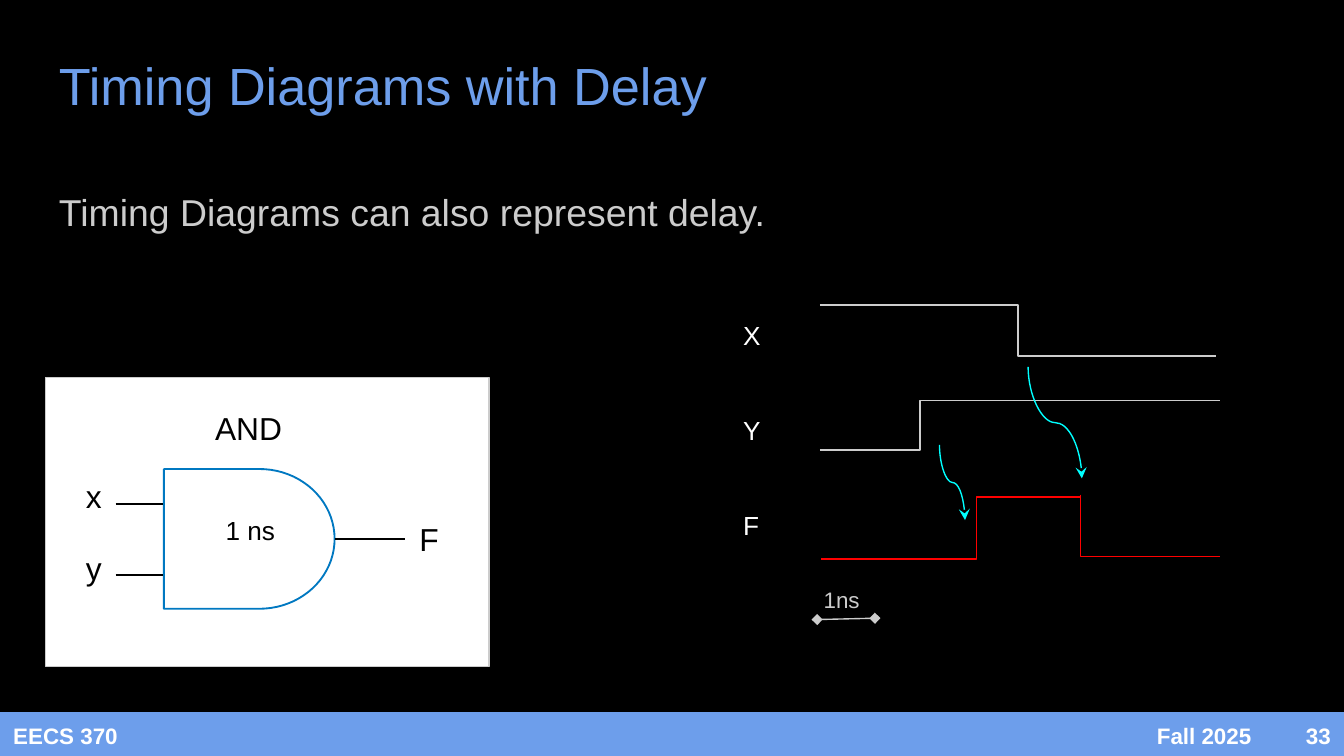
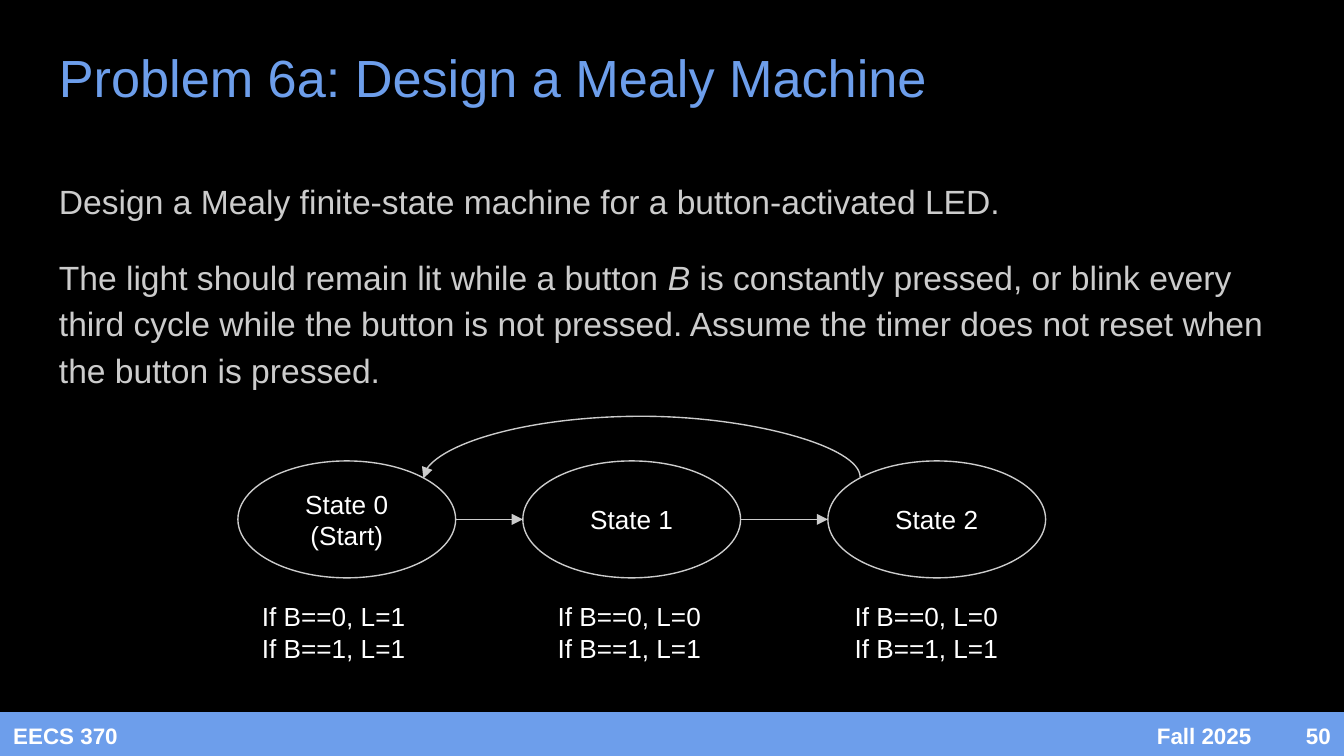
"""Build two course slides: gate timing with delay and a Mealy state machine."""
from math import cos, pi, sin

from lxml import etree
from pptx import Presentation
from pptx.dml.color import RGBColor
from pptx.enum.shapes import MSO_CONNECTOR, MSO_SHAPE
from pptx.enum.text import MSO_ANCHOR, PP_ALIGN
from pptx.oxml.ns import qn
from pptx.util import Inches, Pt

STRAIGHT, ELBOW, CURVE = MSO_CONNECTOR.STRAIGHT, MSO_CONNECTOR.ELBOW, MSO_CONNECTOR.CURVE
RECT, OVAL = MSO_SHAPE.RECTANGLE, MSO_SHAPE.OVAL
TOP, MIDDLE = MSO_ANCHOR.TOP, MSO_ANCHOR.MIDDLE
LEFT, CENTER, RIGHT = PP_ALIGN.LEFT, PP_ALIGN.CENTER, PP_ALIGN.RIGHT

BLACK = RGBColor(0x00, 0x00, 0x00)
WHITE = RGBColor(0xFF, 0xFF, 0xFF)
GRAY = RGBColor(0xCC, 0xCC, 0xCC)
BLUE = RGBColor(0x6D, 0x9E, 0xEB)
GATE_BLUE = RGBColor(0x00, 0x78, 0xC1)
RED = RGBColor(0xFF, 0x00, 0x00)
CYAN = RGBColor(0x00, 0xFF, 0xFF)
FONT = "Arial"
WIDTH = 10
HEIGHT = WIDTH * 9 / 16
BAND_TOP, BAND_H = 5.3, 0.34

DELAY_TEXT = [["Timing Diagrams can also represent delay."]]
GATE_LABELS = [
    ("F", 3.12, 3.87, 0.19),
    ("x", 0.64, 3.55, 0.17),
    ("y", 0.64, 4.08, 0.17),
    ("AND", 1.6, 3.04, 0.75),
]
GATE_WIRES = [(0.86, 3.75, 1.21), (2.49, 4.01, 3.01), (0.86, 4.28, 1.21)]
SIGNALS = [
    ((6.1, 2.27, 9.05, 2.65), 0.5, GRAY),
    ((6.1, 3.35, 9.08, 2.98), 0.25, GRAY),
    ((6.11, 4.16, 8.04, 3.7), 0.6, RED),
    ((8.04, 3.68, 9.08, 4.14), 0, RED),
]
CAUSES = [(6.99, 3.31, 7.18, 3.87), (7.65, 2.73, 8.05, 3.56)]
SIGNAL_NAMES = [["X"], ["Y"], ["F"]]

MEALY_TEXT = [
    ["Design a Mealy finite-state machine for a button-activated LED."],
    ["The light should remain lit while a button ", ("B",),
     " is constantly pressed, or blink every third cycle while the button is not "
     "pressed. Assume the timer does not reset when the button is pressed."],
]
STATES = [
    (1.77, [["State 0"], ["(Start)"]], 1.85, [["If B==0, L=1"], ["If B==1, L=1"]]),
    (3.89, [["State 1"]], 4.05, [["If B==0, L=0"], ["If B==1, L=1"]]),
    (6.16, [["State 2"]], 6.26, [["If B==0, L=0"], ["If B==1, L=1"]]),
]
STATE_TOP, STATE_W, STATE_H = 3.43, 1.62, 0.87


def write(shape, paragraphs, size, color, align=LEFT, anchor=TOP, inset=0.1,
          bold=False, leading=None, gap=0):
    """Fill a shape with paragraphs of runs; a run in a tuple is italic."""
    tf = shape.text_frame
    tf.word_wrap = True
    tf.vertical_anchor = anchor
    tf.margin_left = tf.margin_right = tf.margin_top = tf.margin_bottom = Inches(inset)
    for i, runs in enumerate(paragraphs):
        p = tf.add_paragraph() if i else tf.paragraphs[0]
        p.alignment = align
        if leading:
            p.line_spacing = leading
        if i and gap:
            p.space_before = Pt(gap)
        for item in runs:
            r = p.add_run()
            r.text = item if isinstance(item, str) else item[0]
            r.font.name, r.font.size, r.font.bold = FONT, Pt(size), bold
            r.font.italic = isinstance(item, tuple)
            r.font.color.rgb = color


def text(s, box, paragraphs, size, color, **style):
    """Add a text box."""
    write(s.shapes.add_textbox(*map(Inches, box)), paragraphs, size, color, **style)


def paint(shape, fill=None, line=None, width=0.75):
    """Set fill and outline, leaving out whichever is missing."""
    shape.shadow.inherit = False
    if fill is None:
        shape.fill.background()
    else:
        shape.fill.solid()
        shape.fill.fore_color.rgb = fill
    if line is None:
        shape.line.fill.background()
    else:
        shape.line.color.rgb = line
        shape.line.width = Pt(width)


def shape(s, preset, box, **look):
    """Add a painted preset shape."""
    sp = s.shapes.add_shape(preset, *map(Inches, box))
    paint(sp, **look)
    return sp


def wire(s, kind, points, color, width=0.75, adj=None, head=None, tail=None):
    """Add a connector, with an optional bend position and line ends."""
    c = s.shapes.add_connector(kind, *map(Inches, points))
    c.line.color.rgb = color
    c.line.width = Pt(width)
    props = c._element.spPr
    for tag, end in (("a:headEnd", head), ("a:tailEnd", tail)):
        if end:
            etree.SubElement(props.find(qn("a:ln")), qn(tag), type=end)
    if adj is not None:
        guides = props.find(qn("a:prstGeom")).find(qn("a:avLst"))
        etree.SubElement(guides, qn("a:gd"), name="adj1", fmla=f"val {round(adj * 100000)}")
    etree.SubElement(props, qn("a:effectLst"))
    return c


def upright_curve(s, points, color, tail, adj=0.5):
    """Add a curve that leaves and arrives vertically, by a quarter turn."""
    x1, y1, x2, y2 = points
    cx, cy = (x1 + x2) / 2, (y1 + y2) / 2
    dx, dy = (x2 - x1) / 2, (y2 - y1) / 2
    c = wire(s, CURVE, (cx - dy, cy + dx, cx + dy, cy - dx), color, adj=adj, tail=tail)
    c._element.spPr.find(qn("a:xfrm")).set("rot", "5400000")


def new_slide(prs, title, title_box, number):
    """Add a slide with background, title, footer band and number."""
    s = prs.slides.add_slide(prs.slide_layouts[6])
    s.background.fill.solid()
    s.background.fill.fore_color.rgb = BLACK
    shape(s, RECT, (0, BAND_TOP, WIDTH, BAND_H), fill=BLUE)
    for label, x, w, align in (("EECS 370", 0, 1.82, LEFT), ("Fall 2025", 7.59, 1.82, RIGHT),
                               (number, 9.41, 0.59, RIGHT)):
        text(s, (x, BAND_TOP, w, BAND_H), [[label]], 12, WHITE,
             align=align, anchor=MIDDLE, bold=True)
    text(s, title_box, [[title]], 28, BLUE, anchor=MIDDLE)
    return s


def draw_gate(s):
    """Draw the AND gate panel."""
    shape(s, RECT, (0.34, 2.81, 3.3, 2.15), fill=WHITE, line=GRAY)
    left, cx, cy, rx, ry, steps = 1.22, 1.93, 4.01, 0.56, 0.52, 40
    angles = [pi / 2 - pi * i / steps for i in range(steps + 1)]
    curve = [(Inches(cx + rx * cos(a)), Inches(cy + ry * sin(a))) for a in angles]
    outline = s.shapes.build_freeform(Inches(left), Inches(cy + ry))
    outline.add_line_segments(curve + [(Inches(left), Inches(cy - ry))], close=True)
    paint(outline.convert_to_shape(), fill=WHITE, line=GATE_BLUE, width=1)
    for x1, y, x2 in GATE_WIRES:
        wire(s, STRAIGHT, (x1, y, x2, y), BLACK, 1.37)
    for label, x, y, w in GATE_LABELS:
        text(s, (x, y, w, 0.39), [[label]], 17, BLACK, inset=0)
    text(s, (1.58, 3.73, 0.7, 0.44), [["1 ns"]], 14, BLACK)


def timing_slide(prs):
    """Gate and its timing diagram."""
    s = new_slide(prs, "Timing Diagrams with Delay", (0.34, 0, 8.1, 1.26), "33")
    text(s, (0.34, 1.26, 9.32, 3.74), DELAY_TEXT, 20, GRAY, leading=1.15)
    draw_gate(s)
    for points, adj, color in SIGNALS:
        wire(s, ELBOW, points, color, adj=adj)
    wire(s, STRAIGHT, (6.08, 4.61, 6.51, 4.6), GRAY, head="diamond", tail="diamond")
    text(s, (6.03, 4.26, 0.52, 0.4), [["1ns"]], 12, GRAY)
    for points in CAUSES:
        upright_curve(s, points, CYAN, "stealth")
    text(s, (5.43, 2.28, 0.81, 1.85), SIGNAL_NAMES, 14, WHITE, gap=34)


def mealy_slide(prs):
    """Problem statement and state diagram."""
    s = new_slide(prs, "Problem 6a: Design a Mealy Machine", (0.34, 0.26, 9.07, 0.62), "50")
    text(s, (0.34, 1.2, 9.19, 1.96), MEALY_TEXT, 18, GRAY, leading=1.15, gap=16)
    for x, name, note_x, outputs in STATES:
        sp = shape(s, OVAL, (x, STATE_TOP, STATE_W, STATE_H), line=GRAY)
        write(sp, name, 14, WHITE, align=CENTER, anchor=MIDDLE)
        text(s, (note_x, 4.37, 1.45, 0.67), outputs, 14, WHITE)
    mid = STATE_TOP + STATE_H / 2
    for here, after in zip(STATES, STATES[1:]):
        wire(s, CURVE, (here[0] + STATE_W, mid, after[0], mid), GRAY, tail="triangle")
    upright_curve(s, (6.4, 3.55, 3.15, 3.56), GRAY, "triangle", adj=-46)


def main():
    prs = Presentation()
    prs.slide_width, prs.slide_height = Inches(WIDTH), Inches(HEIGHT)
    timing_slide(prs)
    mealy_slide(prs)
    prs.save("out.pptx")


if __name__ == "__main__":
    main()
